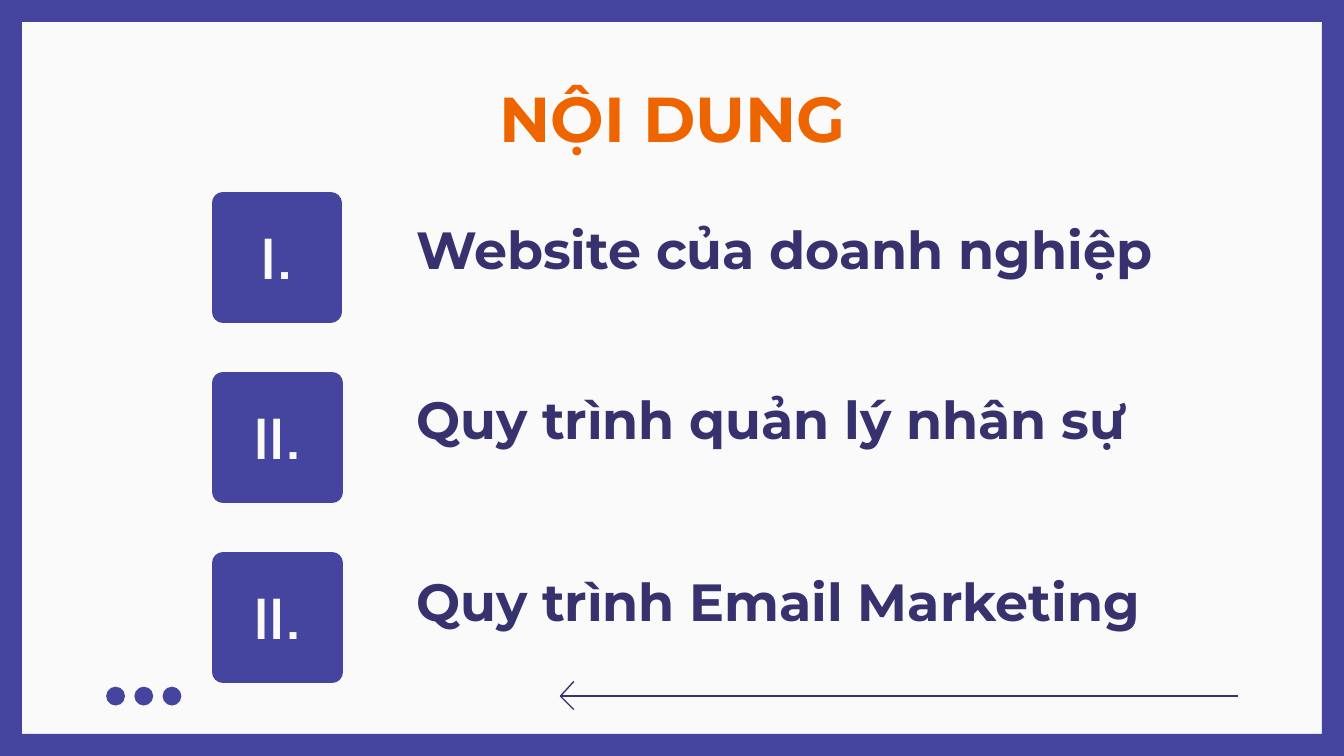
"""Build the table-of-contents slide with three numbered sections."""
from lxml import etree
from pptx import Presentation
from pptx.dml.color import RGBColor
from pptx.enum.shapes import MSO_CONNECTOR, MSO_SHAPE
from pptx.enum.text import MSO_ANCHOR, PP_ALIGN
from pptx.oxml.ns import qn
from pptx.util import Inches, Pt

STRAIGHT = MSO_CONNECTOR.STRAIGHT
FRAME, OVAL, RECT = MSO_SHAPE.FRAME, MSO_SHAPE.OVAL, MSO_SHAPE.RECTANGLE
TOP, MIDDLE, BOTTOM = MSO_ANCHOR.TOP, MSO_ANCHOR.MIDDLE, MSO_ANCHOR.BOTTOM
LEFT, CENTER = PP_ALIGN.LEFT, PP_ALIGN.CENTER

PAPER = RGBColor(0xFA, 0xFA, 0xFA)
VIOLET = RGBColor(0x45, 0x45, 0xA0)
INDIGO = RGBColor(0x37, 0x31, 0x6E)
ORANGE = RGBColor(0xEE, 0x65, 0x00)

WIDTH = 10
HEIGHT = WIDTH * 9 / 16
SECTIONS = [
    ("I.", "Website của doanh nghiệp", 1.65, 0.53, 0.8),
    ("II.", "Quy trình quản lý nhân sự", 3.05, 0.4, 0.81),
    ("II.", "Quy trình Email Marketing", 4.4, 0.4, 0.81),
]


def add_solid(kind, x, y, w, h):
    sp = s.shapes.add_shape(kind, Inches(x), Inches(y), Inches(w), Inches(h))
    sp.shadow.inherit = False
    sp.fill.solid()
    sp.fill.fore_color.rgb = VIOLET
    sp.line.fill.background()
    return sp


def set_text(sp, text, font, size, color, align, anchor):
    tf = sp.text_frame
    tf.word_wrap = True
    tf.vertical_anchor = anchor
    tf.margin_left = tf.margin_right = Inches(0.1)
    tf.margin_top = tf.margin_bottom = Inches(0.1)
    p = tf.paragraphs[0]
    p.text = text
    p.alignment = align
    r = p.runs[0]
    r.font.name = font
    r.font.size = Pt(size)
    r.font.bold = True
    r.font.color.rgb = color


prs = Presentation()
prs.slide_width, prs.slide_height = Inches(WIDTH), Inches(HEIGHT)
s = prs.slides.add_slide(prs.slide_layouts[6])
s.background.fill.solid()
s.background.fill.fore_color.rgb = PAPER

frame = add_solid(FRAME, 0, 0, WIDTH, HEIGHT)
frame.adjustments[0] = 0.029

fb = s.shapes.build_freeform(Inches(4.27), Inches(5.28), scale=1.0)
fb.add_line_segments(
    [(Inches(4.17), Inches(5.18)), (Inches(4.27), Inches(5.07))], close=False
)
head = fb.convert_to_shape()
head.shadow.inherit = False
head.fill.background()
shaft = s.shapes.add_connector(
    STRAIGHT, Inches(4.17), Inches(5.18), Inches(9.21), Inches(5.18)
)
etree.SubElement(shaft._element.spPr, qn("a:effectLst"))
for part in (head, shaft):
    part.line.color.rgb = INDIGO
    part.line.width = Pt(0.75)

for i in range(3):
    add_solid(OVAL, 0.79 + 0.21 * i, 5.11, 0.14, 0.14)

title = s.shapes.add_textbox(Inches(0.79), Inches(0.49), Inches(8.43), Inches(0.63))
set_text(title, "NỘI DUNG", "Montserrat", 34, ORANGE, CENTER, TOP)

for i, (number, name, top, height, box_width) in enumerate(SECTIONS):
    box = add_solid(RECT, 1.66, 1.51 + 1.34 * i, box_width, 0.81)
    box.line.color.rgb = VIOLET
    box.line.width = Pt(12)
    etree.SubElement(box.line._get_or_add_ln(), qn("a:round"))
    set_text(box, number, "Manrope", 30, PAPER, CENTER, MIDDLE)

    label = s.shapes.add_textbox(Inches(3), Inches(top), Inches(5.96), Inches(height))
    set_text(label, name, "Montserrat", 28, INDIGO, LEFT, BOTTOM)

prs.save("out.pptx")
